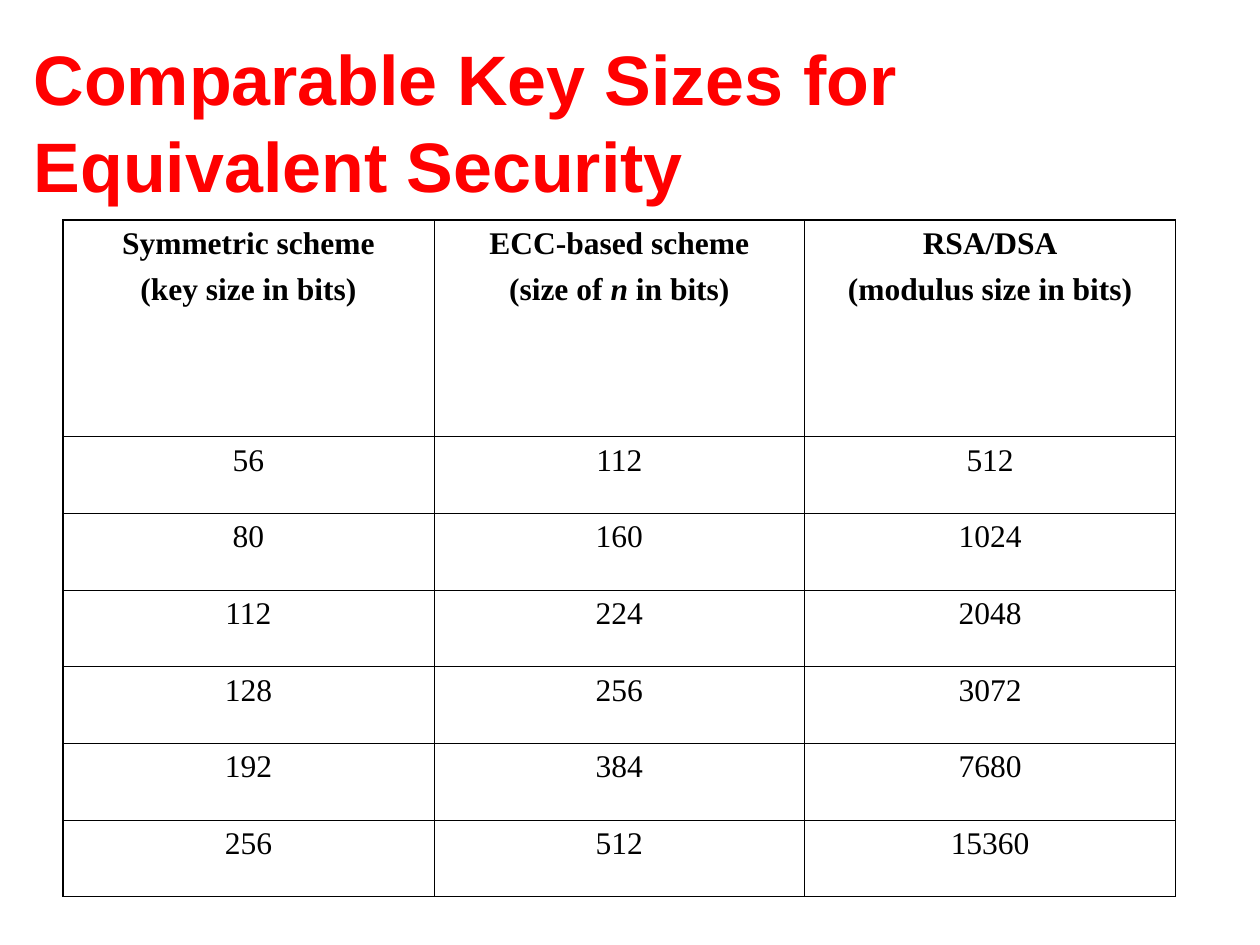
from dataclasses import dataclass

from pptx import Presentation
from pptx import util as u
from pptx.dml.color import RGBColor
from pptx.enum import text
from pptx.oxml import parse_xml
from pptx.oxml.ns import nsdecls


@dataclass(frozen=True)
class Theme:
    title_font: str = "Arial"
    table_font: str = "Times New Roman"
    title_color: str = "FF0000"
    ink: str = "000000"
    title_size: float = 40
    table_size: float = 18
    title_leading: float = 1.04
    paragraph_gap: float = 3
    outer_line: float = 1.08
    inner_line: float = 0.45


class SlideBuilder:
    def __init__(self, deck, theme):
        self.deck = deck
        self.theme = theme
        self.page = deck.slides.add_slide(deck.slide_layouts[6])

    def area(self, left, top, width, height):
        across, down = self.deck.slide_width, self.deck.slide_height
        return (round(left * across), round(top * down),
                round(width * across), round(height * down))

    def style(self, span, name, size, color, bold, italic=False):
        font = span.font
        font.name, font.size = name, u.Pt(size)
        font.bold, font.italic = bold, italic
        font.color.rgb = RGBColor.from_string(color)

    def title(self, wording, *place):
        theme = self.theme
        frame = self.page.shapes.add_textbox(*self.area(*place)).text_frame
        frame.word_wrap = True
        frame.vertical_anchor = text.MSO_ANCHOR.MIDDLE
        frame.text = wording
        para = frame.paragraphs[0]
        para.line_spacing = theme.title_leading
        self.style(para.runs[0], theme.title_font, theme.title_size,
                   theme.title_color, bold=True)

    def table(self, header, body, header_share, *place):
        rows = [header] + [[[[str(value)]] for value in row] for row in body]
        count, columns = len(rows), len(header)
        left, top, width, height = self.area(*place)
        grid = self.page.shapes.add_table(
            count, columns, left, top, width, height).table
        for column in grid.columns:
            column.width = width // columns
        header_height = round(height * header_share)
        for index, row in enumerate(grid.rows):
            row.height = (header_height if index == 0
                          else (height - header_height) // len(body))
        for r, row in enumerate(rows):
            for c, lines in enumerate(row):
                cell = grid.cell(r, c)
                cell.fill.background()
                self.fill_cell(cell, lines, bold=r == 0)
                self.borders(cell, L=c == 0, R=c == columns - 1,
                             T=r == 0, B=r == count - 1)

    def fill_cell(self, cell, lines, bold):
        theme = self.theme
        frame = cell.text_frame
        for index, pieces in enumerate(lines):
            para = frame.add_paragraph() if index else frame.paragraphs[0]
            para.alignment = text.PP_ALIGN.CENTER
            para.space_after = u.Pt(theme.paragraph_gap)
            if index:
                para.space_before = u.Pt(theme.paragraph_gap)
            for piece in pieces:
                span = para.add_run()
                span.text = piece
                self.style(span, theme.table_font, theme.table_size,
                           theme.ink, bold, italic=piece == "n")

    def borders(self, cell, **outer_sides):
        properties = cell._tc.get_or_add_tcPr()
        for index, (side, outer) in enumerate(outer_sides.items()):
            points = self.theme.outer_line if outer else self.theme.inner_line
            properties.insert(index, parse_xml(
                f'<a:ln{side} {nsdecls("a")} w="{u.Pt(points)}"><a:solidFill>'
                f'<a:srgbClr val="{self.theme.ink}"/></a:solidFill></a:ln{side}>'))


def main():
    deck = Presentation()
    deck.slide_width, deck.slide_height = u.Inches(10), u.Inches(7.5)
    slide = SlideBuilder(deck, Theme())
    slide.title("Comparable Key Sizes for Equivalent Security",
                0.017, 0.043, 0.958, 0.167)
    header = [
        [["Symmetric scheme"], ["(key size in bits)"]],
        [["ECC-based scheme"], ["(size of ", "n", " in bits)"]],
        [["RSA/DSA"], ["(modulus size in bits)"]],
    ]
    key_sizes = [
        (56, 112, 512),
        (80, 160, 1024),
        (112, 224, 2048),
        (128, 256, 3072),
        (192, 384, 7680),
        (256, 512, 15360),
    ]
    slide.table(header, key_sizes, 0.32, 0.05, 0.233, 0.883, 0.716)
    deck.save("out.pptx")


if __name__ == "__main__":
    main()
